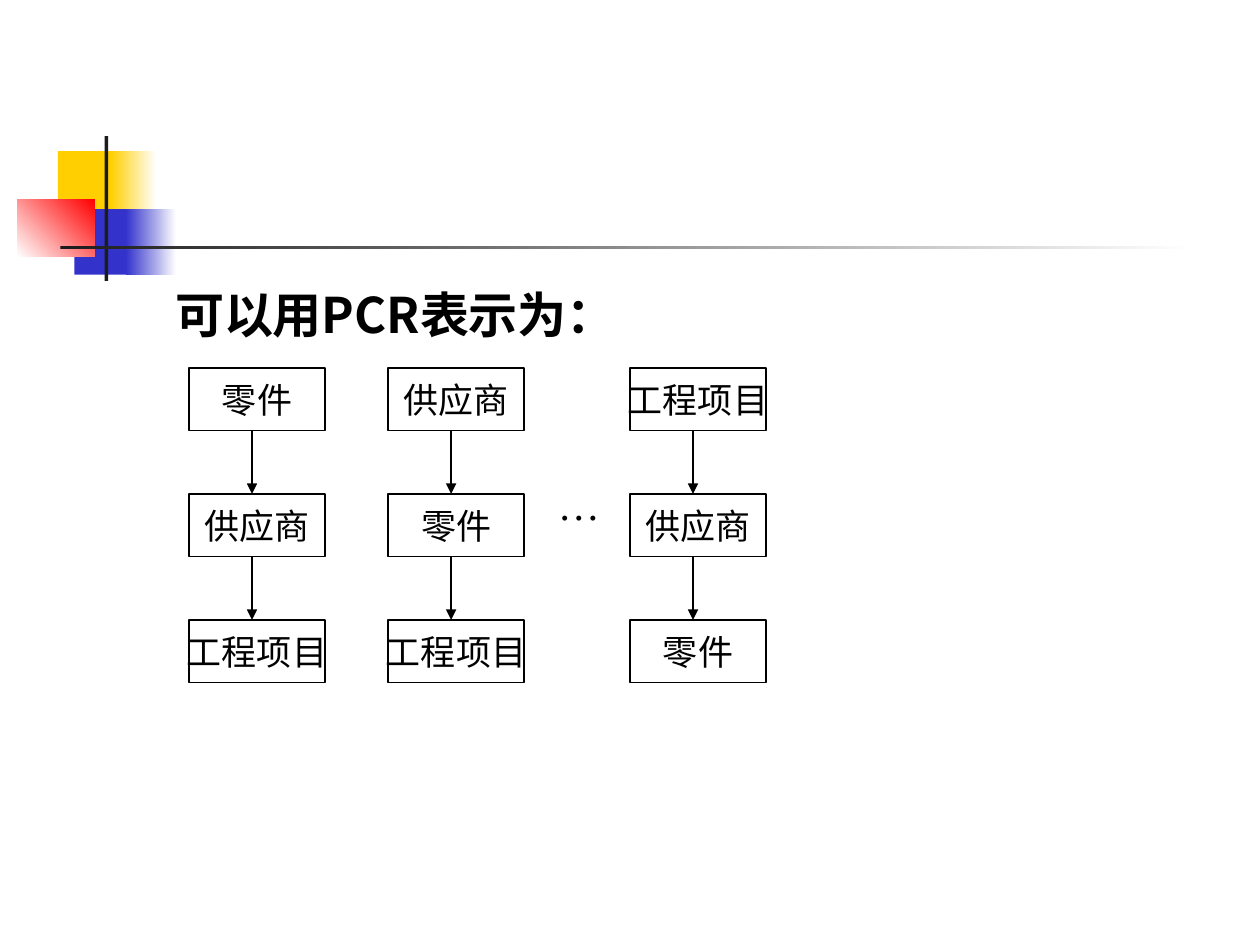
from typing import NamedTuple, Optional

import pptx
import pptx.dml.color
import pptx.enum.lang
import pptx.enum.shapes
import pptx.enum.text
import pptx.oxml
import pptx.oxml.ns
import pptx.util

Inches, Pt = pptx.util.Inches, pptx.util.Pt
PP = pptx.enum.text.PP_ALIGN
COLORS = {"black": "000000", "ink": "1C1C1C", "white": "FFFFFF",
          "yellow": "FFCF01", "blue": "3333CC", "red": "FF0000"}
CJK = "Noto Sans CJK SC"
BOX_W, BOX_H = 1.08, 0.5
ROW_TOP, ROW_STEP = 2.92, 1.0
ARROW_INSET = 0.5


class Block(NamedTuple):
    left: float
    top: float
    width: float
    height: float
    color: str
    fade_to: Optional[str] = None
    angle: float = 0


class Chain(NamedTuple):
    left: float
    labels: tuple[str, ...]


BLOCKS = (
    Block(0.46, 1.2, 0.48, 0.52, "yellow"),
    Block(0.88, 1.2, 0.36, 0.52, "yellow", "white"),
    Block(0.59, 1.66, 0.46, 0.52, "blue"),
    Block(1, 1.66, 0.4, 0.52, "blue", "white"),
    Block(0.14, 1.58, 0.61, 0.46, "white", "red", 45),
    Block(0.83, 1.08, 0.03, 1.15, "ink"),
    Block(0.48, 1.95, 9, 0.03, "ink", "white"),
)
CHAINS = (
    Chain(1.5, ("零件", "供应商", "工程项目")),
    Chain(3.08, ("供应商", "零件", "工程项目")),
    Chain(5, ("工程项目", "供应商", "零件")),
)


def rgb(name: str) -> pptx.dml.color.RGBColor:
    return pptx.dml.color.RGBColor.from_string(COLORS[name])


def add_run(p, text: str, size: float, font: str, bold: bool = False) -> None:
    r = p.add_run()
    r.text = text
    r.font.size, r.font.name, r.font.bold = Pt(size), font, bold
    r.font.color.rgb = rgb("black")
    r.font.language_id = pptx.enum.lang.MSO_LANGUAGE_ID.SIMPLIFIED_CHINESE
    ea = pptx.oxml.parse_xml(
        f'<a:ea {pptx.oxml.ns.nsdecls("a")} typeface="{CJK}"/>')
    r.font._element.find(pptx.oxml.ns.qn("a:latin")).addnext(ea)


def add_rect(s, left: float, top: float, width: float, height: float):
    sp = s.shapes.add_shape(
        pptx.enum.shapes.MSO_SHAPE.RECTANGLE,
        Inches(left), Inches(top), Inches(width), Inches(height))
    sp.shadow.inherit = False
    return sp


def add_block(s, block: Block) -> None:
    sp = add_rect(s, *block[:4])
    sp.line.fill.background()
    if block.fade_to is None:
        sp.fill.solid()
        sp.fill.fore_color.rgb = rgb(block.color)
        return
    sp.fill.gradient()
    sp.fill.gradient_angle = block.angle
    for stop, name in zip(sp.fill.gradient_stops, (block.color, block.fade_to)):
        stop.color.rgb = rgb(name)


def add_box(s, left: float, top: float, label: str) -> None:
    sp = add_rect(s, left, top, BOX_W, BOX_H)
    sp.fill.background()
    sp.line.color.rgb, sp.line.width = rgb("black"), Pt(0.75)
    tf = sp.text_frame
    tf.word_wrap = False
    tf.vertical_anchor = pptx.enum.text.MSO_ANCHOR.MIDDLE
    p = tf.paragraphs[0]
    p.alignment = PP.CENTER
    add_run(p, label, 20, "Cabin")


def add_arrow(s, x: float, top: float, bottom: float) -> None:
    sp = s.shapes.add_connector(
        pptx.enum.shapes.MSO_CONNECTOR.STRAIGHT,
        Inches(x), Inches(top), Inches(x), Inches(bottom))
    sp.line.color.rgb, sp.line.width = rgb("black"), Pt(0.75)
    ns = pptx.oxml.ns.nsdecls("a")
    sp.line._get_or_add_ln().append(
        pptx.oxml.parse_xml(f'<a:tailEnd {ns} type="triangle"/>'))
    sp._element.spPr.append(pptx.oxml.parse_xml(f"<a:effectLst {ns}/>"))


def add_chain(s, chain: Chain) -> None:
    """Stack the boxes of one access path, with an arrow into each later one."""
    for row, label in enumerate(chain.labels):
        top = ROW_TOP + row * ROW_STEP
        add_box(s, chain.left, top, label)
        if row:
            add_arrow(s, chain.left + ARROW_INSET, top - ROW_STEP + BOX_H, top)


def fill_heading(s) -> None:
    title, body = s.placeholders
    title._element.getparent().remove(title._element)
    body.left, body.top = Inches(1.29), Inches(2.21)
    body.width, body.height = Inches(8.5), Inches(0.63)
    p = body.text_frame.paragraphs[0]
    p.space_before = Pt(7)
    pPr = p._p.get_or_add_pPr()
    pPr.set("marL", str(Inches(0.38)))
    pPr.set("indent", str(Inches(-0.38)))
    pPr.append(pptx.oxml.parse_xml(f'<a:buNone {pptx.oxml.ns.nsdecls("a")}/>'))
    add_run(p, "可以用PCR表示为：", 28, CJK, bold=True)


def add_ellipsis(s) -> None:
    tf = s.shapes.add_textbox(
        Inches(4.33), Inches(3.75), Inches(0.5), Inches(0.5)).text_frame
    tf.word_wrap = True
    p = tf.paragraphs[0]
    p.space_before = Pt(15)
    add_run(p, "…", 24, "Times New Roman")


def main() -> None:
    prs = pptx.Presentation()
    prs.slide_width, prs.slide_height = Inches(10), Inches(7.5)
    s = prs.slides.add_slide(prs.slide_layouts[1])
    for block in BLOCKS:
        add_block(s, block)
    fill_heading(s)
    for chain in CHAINS:
        add_chain(s, chain)
    add_ellipsis(s)
    prs.save("out.pptx")


if __name__ == "__main__":
    main()
